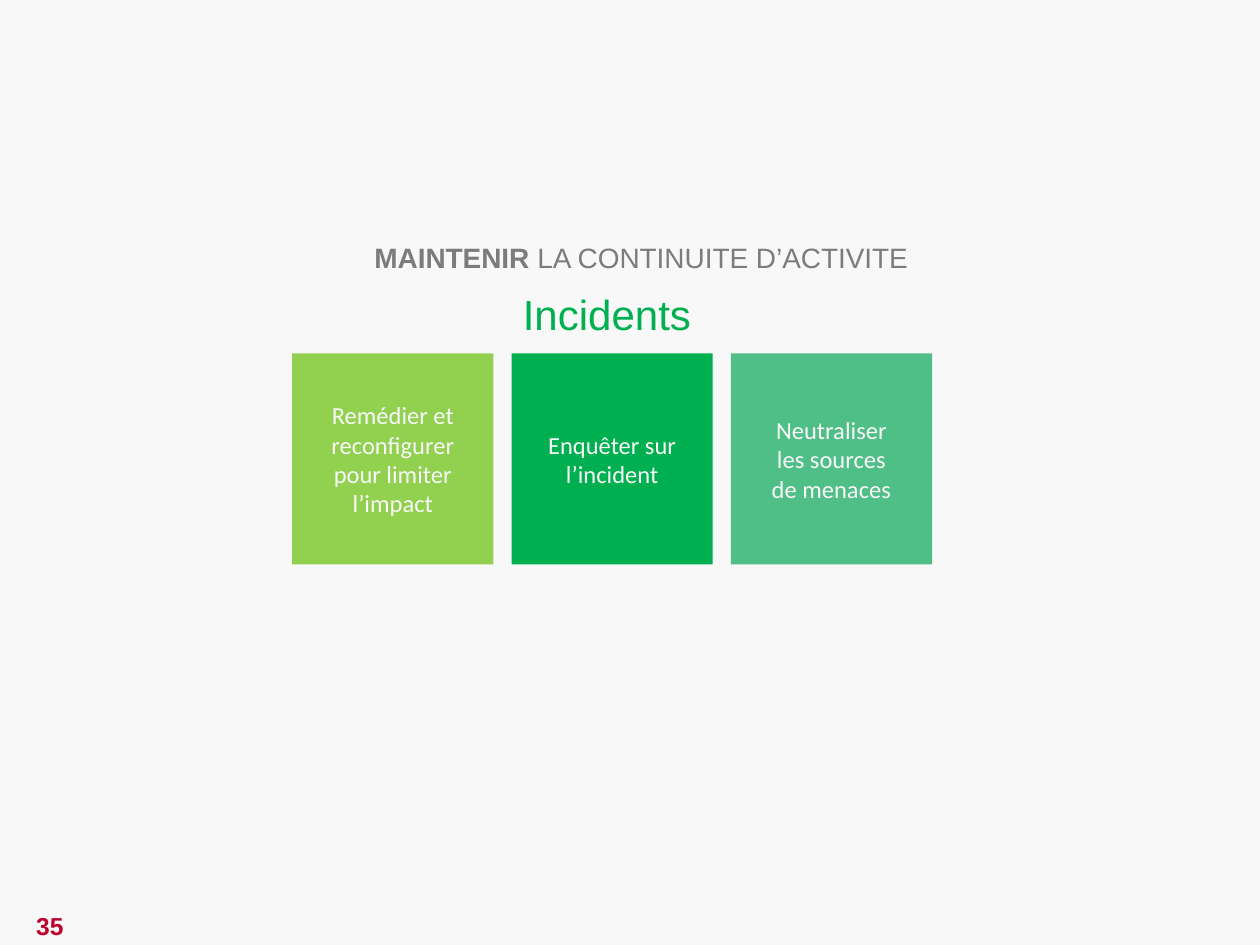
from dataclasses import dataclass

from pptx import Presentation
from pptx.dml.color import RGBColor
from pptx.enum.shapes import MSO_SHAPE
from pptx.enum.text import MSO_ANCHOR, MSO_AUTO_SIZE, PP_ALIGN
from pptx.slide import Slide
from pptx.text.text import TextFrame
from pptx.util import Pt

RECTANGLE = MSO_SHAPE.RECTANGLE
TOP, MIDDLE = MSO_ANCHOR.TOP, MSO_ANCHOR.MIDDLE
LEFT, CENTER, RIGHT = PP_ALIGN.LEFT, PP_ALIGN.CENTER, PP_ALIGN.RIGHT
NO_AUTOFIT = MSO_AUTO_SIZE.NONE


@dataclass(frozen=True)
class Theme:
    background: str = "F8F8F8"
    heading: str = "7C7C7C"
    incidents: str = "00B050"
    remediation: str = "92D050"
    threats: str = "50BE87"
    page_number: str = "BC002B"
    heading_font: str = "Arial"
    card_font: str = "Calibri"
    heading_size: float = 16
    incidents_size: float = 24
    body_size: float = 14


@dataclass(frozen=True)
class Box:
    left: float
    top: float
    width: float
    height: float

    def lengths(self) -> tuple[Pt, Pt, Pt, Pt]:
        return Pt(self.left), Pt(self.top), Pt(self.width), Pt(self.height)


@dataclass(frozen=True)
class Run:
    text: str
    bold: bool = False


@dataclass(frozen=True)
class Card:
    lines: tuple[str, ...]
    color: str


THEME = Theme()
TITLE_BOX = Box(201, 134.5, 323, 25)
INCIDENTS_BOX = Box(293.8, 162, 111, 34.5)
PAGE_NUMBER_BOX = Box(-1.5, 517, 60, 24.5)
FIRST_CARD = Box(167, 202, 115, 120.5)
CARD_STEP = 125.3
CARDS = (
    Card(("Remédier et reconfigurer", "pour limiter", "l’impact"), THEME.remediation),
    Card(("Enquêter sur", "l’incident"), THEME.incidents),
    Card(("Neutraliser", "les sources", "de menaces"), THEME.threats),
)


def write_text(frame: TextFrame, paragraphs: list[list[Run]], *, font: str,
               size: float, color: str, alignment: PP_ALIGN,
               anchor: MSO_ANCHOR = TOP, inset_x: float = 5,
               inset_y: float = 3) -> None:
    frame.word_wrap = True
    frame.auto_size = NO_AUTOFIT
    frame.vertical_anchor = anchor
    frame.margin_left = frame.margin_right = Pt(inset_x)
    frame.margin_top = frame.margin_bottom = Pt(inset_y)
    for index, runs in enumerate(paragraphs):
        paragraph = frame.add_paragraph() if index else frame.paragraphs[0]
        paragraph.alignment = alignment
        paragraph.line_spacing = 1.0
        paragraph.space_before = Pt(0)
        for item in runs:
            run = paragraph.add_run()
            run.text = item.text
            run.font.name = font
            run.font.size = Pt(size)
            run.font.bold = item.bold
            run.font.color.rgb = RGBColor.from_string(color)


def draw_title(slide: Slide) -> None:
    title = slide.shapes.title
    title.left, title.top, title.width, title.height = TITLE_BOX.lengths()
    runs = [Run("MAINTENIR", bold=True), Run(" LA CONTINUITE D’ACTIVITE")]
    write_text(title.text_frame, [runs], font=THEME.heading_font,
               size=THEME.heading_size, color=THEME.heading, alignment=RIGHT)


def draw_label(slide: Slide, box: Box, run: Run, *, size: float, color: str,
               alignment: PP_ALIGN, anchor: MSO_ANCHOR = TOP) -> None:
    label = slide.shapes.add_textbox(*box.lengths())
    write_text(label.text_frame, [[run]], font=THEME.heading_font, size=size,
               color=color, alignment=alignment, anchor=anchor)


def draw_card(slide: Slide, card: Card, box: Box) -> None:
    shape = slide.shapes.add_shape(RECTANGLE, *box.lengths())
    shape.shadow.inherit = False
    shape.fill.solid()
    shape.fill.fore_color.rgb = RGBColor.from_string(card.color)
    shape.line.fill.background()
    write_text(shape.text_frame, [[Run(line)] for line in card.lines],
               font=THEME.card_font, size=THEME.body_size,
               color=THEME.background, alignment=CENTER, anchor=MIDDLE,
               inset_x=7.2, inset_y=3.6)


def main() -> None:
    presentation = Presentation()
    presentation.slide_width = Pt(720)
    presentation.slide_height = Pt(540)
    slide = presentation.slides.add_slide(presentation.slide_layouts.get_by_name("Title Only"))
    slide.background.fill.solid()
    slide.background.fill.fore_color.rgb = RGBColor.from_string(THEME.background)

    draw_title(slide)
    draw_label(slide, INCIDENTS_BOX, Run("Incidents"), size=THEME.incidents_size,
               color=THEME.incidents, alignment=LEFT)
    for index, card in enumerate(CARDS):
        left = FIRST_CARD.left + index * CARD_STEP
        draw_card(slide, card, Box(left, FIRST_CARD.top, FIRST_CARD.width, FIRST_CARD.height))
    draw_label(slide, PAGE_NUMBER_BOX, Run("35", bold=True), size=THEME.body_size,
               color=THEME.page_number, alignment=CENTER, anchor=MIDDLE)

    presentation.save("out.pptx")


if __name__ == "__main__":
    main()
